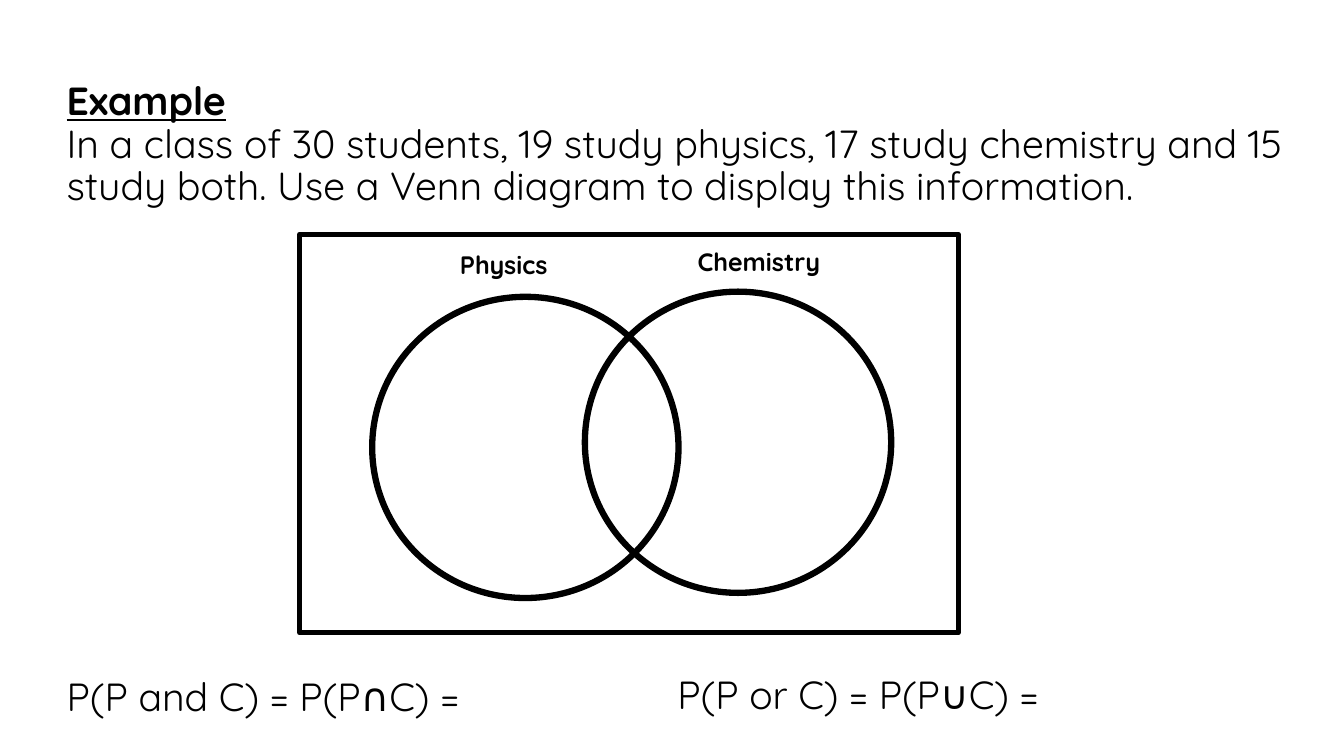
from pptx import Presentation
from pptx.dml.color import RGBColor
from pptx.enum.shapes import MSO_SHAPE
from pptx.enum.text import MSO_ANCHOR
from pptx.util import Cm, Pt

COLOURS = {"ink": "000000", "background": "FFFFFF"}
FONT = "Quicksand"
BODY_SIZE = 28
LABEL_SIZE = 18


def add_text_box(slide, left, top, width, height):
    text_box = slide.shapes.add_textbox(Cm(left), Cm(top), Cm(width), Cm(height))
    text_box.text_frame.word_wrap = True
    return text_box.text_frame


def add_run(paragraph, text, size, bold=False, underline=False):
    run = paragraph.add_run()
    run.text = text
    run.font.name = FONT
    run.font.size = Pt(size)
    run.font.bold = bold
    run.font.underline = underline
    run.font.color.rgb = RGBColor.from_string(COLOURS["ink"])


def add_outline(slide, preset, left, top, width, height, line_width):
    """Draw an unfilled shape."""
    shape = slide.shapes.add_shape(preset, Cm(left), Cm(top), Cm(width), Cm(height))
    shape.shadow.inherit = False
    shape.fill.background()
    shape.line.color.rgb = RGBColor.from_string(COLOURS["ink"])
    shape.line.width = Pt(line_width)


def add_question(slide, left, top, width, height):
    text_frame = add_text_box(slide, left, top, width, height)
    text_frame.vertical_anchor = MSO_ANCHOR.MIDDLE
    paragraph = text_frame.paragraphs[0]
    paragraph.line_spacing = 0.9
    add_run(paragraph, "Example", BODY_SIZE, bold=True, underline=True)
    paragraph.add_line_break()
    add_run(paragraph, "In a class of 30 students, 19 study physics, 17 study chemistry "
            "and 15 study both. Use a Venn diagram to display this information.", BODY_SIZE)


def add_venn_diagram(slide, left, top, width, height):
    """Draw the universal set with one labelled circle per subject."""
    add_outline(slide, MSO_SHAPE.RECTANGLE, left, top, width, height, 3.5)
    subjects = [
        # name, circle offset, label offset, label width
        ("Physics", (1.83, 1.58), (3.79, 0.26), 3.2),
        ("Chemistry", (7.19, 1.45), (9.78, 0.18), 4.4),
    ]
    for name, (circle_x, circle_y), (label_x, label_y), label_width in subjects:
        add_outline(slide, MSO_SHAPE.OVAL, left + circle_x, top + circle_y, 7.72, 7.59, 4.5)
        label = add_text_box(slide, left + label_x, top + label_y, label_width, 1.02)
        add_run(label.paragraphs[0], name, LABEL_SIZE, bold=True)


def add_probability(slide, left, top, width, height, formula):
    text_frame = add_text_box(slide, left, top, width, height)
    add_run(text_frame.paragraphs[0], formula, BODY_SIZE)


def main():
    presentation = Presentation()
    presentation.slide_width = Cm(33.87)
    presentation.slide_height = Cm(19.05)
    slide = presentation.slides.add_slide(presentation.slide_layouts[6])
    slide.background.fill.solid()
    slide.background.fill.fore_color.rgb = RGBColor.from_string(COLOURS["background"])

    add_question(slide, 1.43, 2.08, 32.18, 3.18)
    add_venn_diagram(slide, 7.55, 5.9, 16.6, 10.05)
    add_probability(slide, 1.43, 16.82, 14.8, 1.45, "P(P and C) = P(P∩C) =")
    add_probability(slide, 16.82, 16.77, 14.95, 1.45, "P(P or C) = P(P∪C) =")
    presentation.save("out.pptx")


if __name__ == "__main__":
    main()
